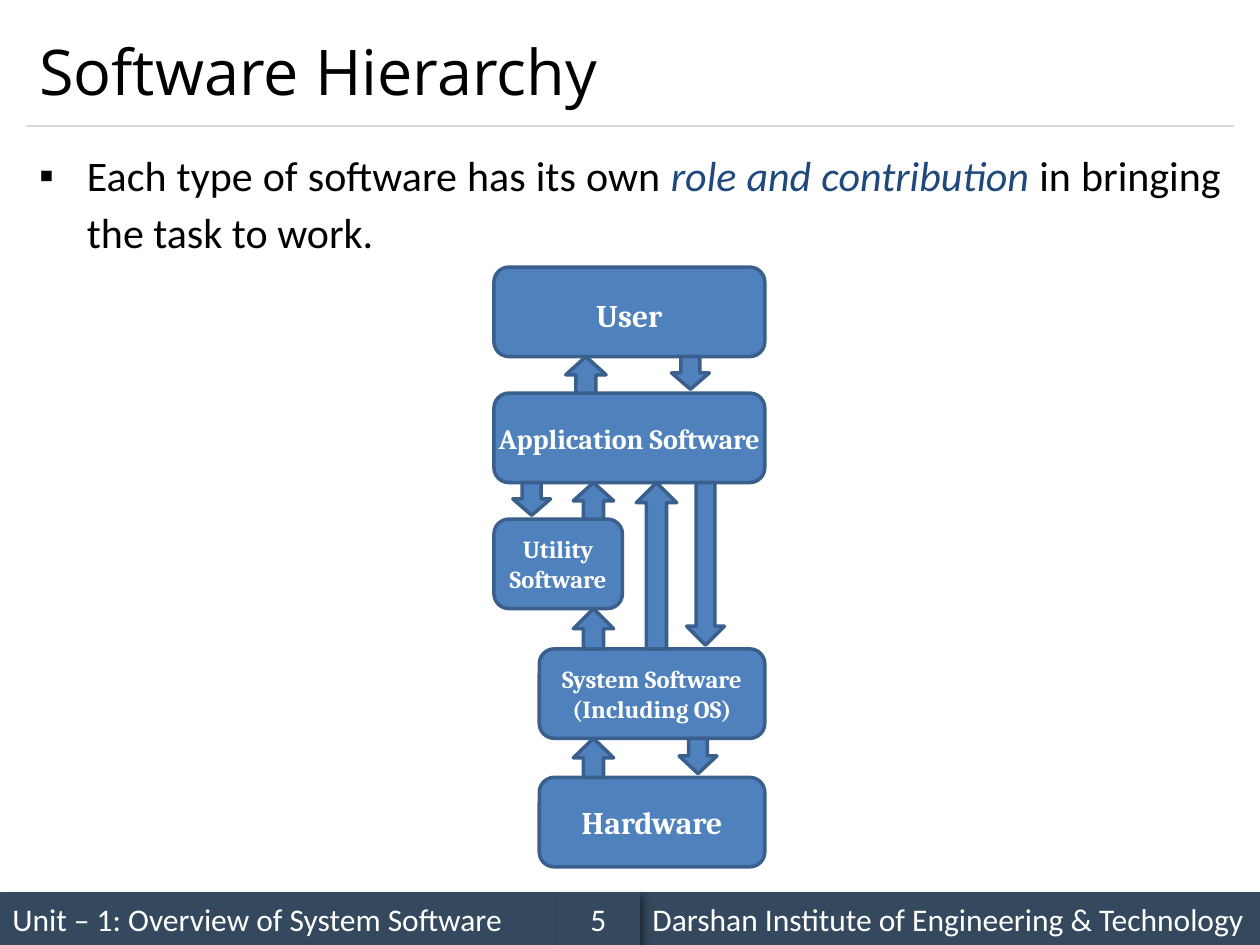
"""Build the Software Hierarchy slide with its layered diagram and footer."""
import lxml.etree
import pptx
import pptx.dml.color
import pptx.enum.shapes
import pptx.enum.text
import pptx.oxml
import pptx.oxml.ns
import pptx.util

Inches, Pt = pptx.util.Inches, pptx.util.Pt
SHAPE = pptx.enum.shapes.MSO_SHAPE
ALIGN = pptx.enum.text.PP_ALIGN
MIDDLE = pptx.enum.text.MSO_ANCHOR.MIDDLE


def color(value):
    return pptx.dml.color.RGBColor.from_string(value)


def add_block(kind, left, top, width, height, fill, outline=None):
    block = slide.shapes.add_shape(kind, *map(Inches, (left, top, width, height)))
    block.shadow.inherit = False
    block.fill.solid()
    block.fill.fore_color.rgb = color(fill)
    if outline:
        block.line.color.rgb = color(outline)
        block.line.width = Pt(2)
    else:
        block.line.fill.background()
    return block


deck = pptx.Presentation()
WIDTH, HEIGHT = 10, 7.5
deck.slide_width, deck.slide_height = Inches(WIDTH), Inches(HEIGHT)
slide = deck.slides.add_slide(deck.slide_layouts[1])
margin = 0.021 * WIDTH
content_width = WIDTH - 2 * margin

heading = slide.shapes.title
heading.left, heading.top = Inches(margin), Inches(0.12)
heading.width, heading.height = Inches(content_width), Inches(0.88)
heading.text_frame.text = "Software Hierarchy"
heading.text_frame.vertical_anchor = MIDDLE
heading.text_frame.auto_size = pptx.enum.text.MSO_AUTO_SIZE.NONE
heading_line = heading.text_frame.paragraphs[0]
heading_line.alignment = ALIGN.LEFT
heading_line.font.name, heading_line.font.size = "Open Sans", Pt(36)
heading_line.font.color.rgb = color("000000")

statement = slide.placeholders[1]
statement.left, statement.top = Inches(margin), Inches(1.08)
statement.width, statement.height = Inches(content_width), Inches(1.58)
statement.text_frame.auto_size = pptx.enum.text.MSO_AUTO_SIZE.NONE
sentence = statement.text_frame.paragraphs[0]
bullet = sentence._p.get_or_add_pPr()
bullet.set("marL", str(Inches(0.38)))
bullet.set("indent", str(-Inches(0.38)))
lxml.etree.SubElement(bullet, pptx.oxml.ns.qn("a:buFont")).set("typeface", "Arial")
lxml.etree.SubElement(bullet, pptx.oxml.ns.qn("a:buChar")).set("char", "▪")
sentence.alignment = ALIGN.JUSTIFY
sentence.line_spacing, sentence.space_before = 1.14, Pt(0)
sentence.font.name, sentence.font.size = "Calibri", Pt(24)
for words, ink, slanted in [
    ("Each type of software has its own ", "000000", False),
    ("role and contribution", "1F497D", True),
    (" in bringing the task to work.", "000000", False),
]:
    phrase = sentence.add_run()
    phrase.text = words
    phrase.font.color.rgb = color(ink)
    phrase.font.italic = slanted

divider = slide.shapes.add_connector(
    pptx.enum.shapes.MSO_CONNECTOR.STRAIGHT,
    Inches(margin), Inches(1), Inches(WIDTH - margin), Inches(1))
divider.line.color.rgb = color("D9D9D9")
divider.line.width = Pt(0.75)
lxml.etree.SubElement(divider._element.spPr, pptx.oxml.ns.qn("a:effectLst"))

footer_top = 7.08
for start, end, words, alignment in [
    (0, 0.442, "Unit – 1: Overview of System Software", ALIGN.LEFT),
    (0.508, 1, "Darshan Institute of Engineering & Technology", ALIGN.LEFT),
    (0.442, 0.508, "5", ALIGN.CENTER),
]:
    band = add_block(SHAPE.RECTANGLE, start * WIDTH, footer_top,
                     (end - start) * WIDTH, HEIGHT - footer_top, "34495E")
    shade = lxml.etree.SubElement(
        band._element.spPr.find(pptx.oxml.ns.qn("a:effectLst")),
        pptx.oxml.ns.qn("a:outerShdw"),
        blurRad=str(Pt(4)), dist=str(Pt(3)), dir="2700000", algn="tl", rotWithShape="0")
    tint = lxml.etree.SubElement(shade, pptx.oxml.ns.qn("a:srgbClr"), val="000000")
    lxml.etree.SubElement(tint, pptx.oxml.ns.qn("a:alpha"), val="40000")
    band.text_frame.text = words
    band.text_frame.vertical_anchor = MIDDLE
    caption = band.text_frame.paragraphs[0]
    caption.alignment = alignment
    caption.font.name, caption.font.size = "Calibri", Pt(18)
    caption.font.color.rgb = color("FFFFFF")

tiers = [2.12, 3.12, 4.12, 5.15, 6.17]
tier_height = 0.71
outer, inner, right = 3.92, 4.28, 6.07
for tier, left, end, words, size, spacing in [
    (0, outer, right, "User", 18, 1.15),
    (1, outer, right, "Application Software", 16, 1),
    (2, outer, 4.94, "Utility Software", 14, 1),
    (3, inner, right, "System Software\n(Including OS)", 14, 1),
    (4, inner, right, "Hardware", 18, 1),
]:
    layer = add_block(SHAPE.ROUNDED_RECTANGLE, left, tiers[tier], end - left,
                      tier_height, "4F81BD", "3A5F8C")
    label = layer.text_frame
    label.margin_left = label.margin_right = label.margin_top = label.margin_bottom = 0
    label.word_wrap = True
    label.vertical_anchor = MIDDLE
    label.text = words
    for row in label.paragraphs:
        row.alignment, row.line_spacing = ALIGN.CENTER, spacing
        row.font.name, row.font.size, row.font.bold = "Cambria", Pt(size), True
        row.font.color.rgb = color("FFFFFF")

for upper, lower, up_left, down_left in [
    (0, 1, 4.49, 5.33),
    (1, 2, 4.55, 4.07),
    (2, 3, 4.55, None),
    (1, 3, 5.05, 5.45),
    (3, 4, 4.55, 5.39),
]:
    top = tiers[upper] + tier_height
    gap = tiers[lower] - top
    add_block(SHAPE.UP_ARROW, up_left, top, 0.32, gap, "4F81BD", "3A5F8C")
    if down_left:
        add_block(SHAPE.DOWN_ARROW, down_left, top, 0.3, gap - 0.03, "4F81BD", "3A5F8C")

deck.save("out.pptx")
